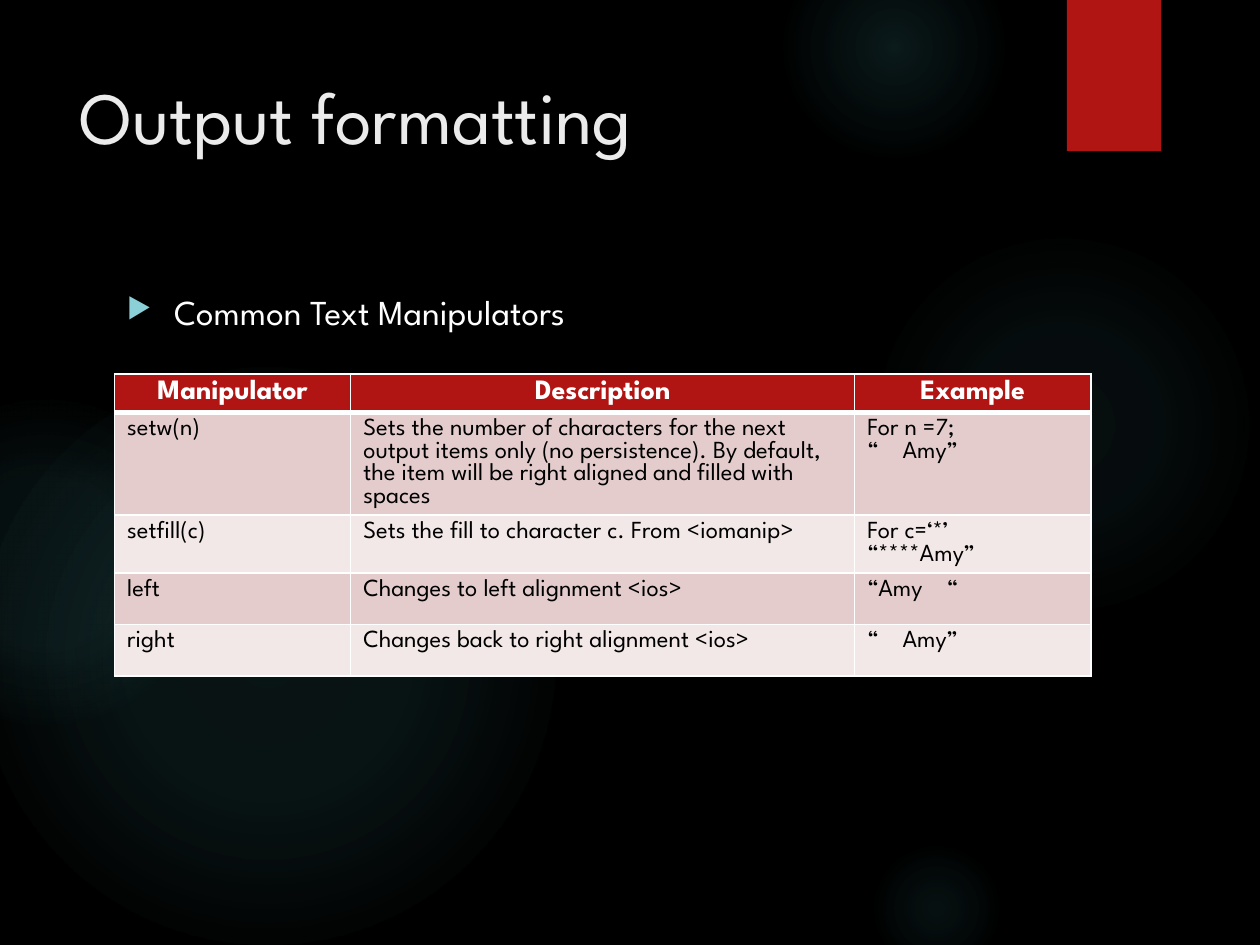
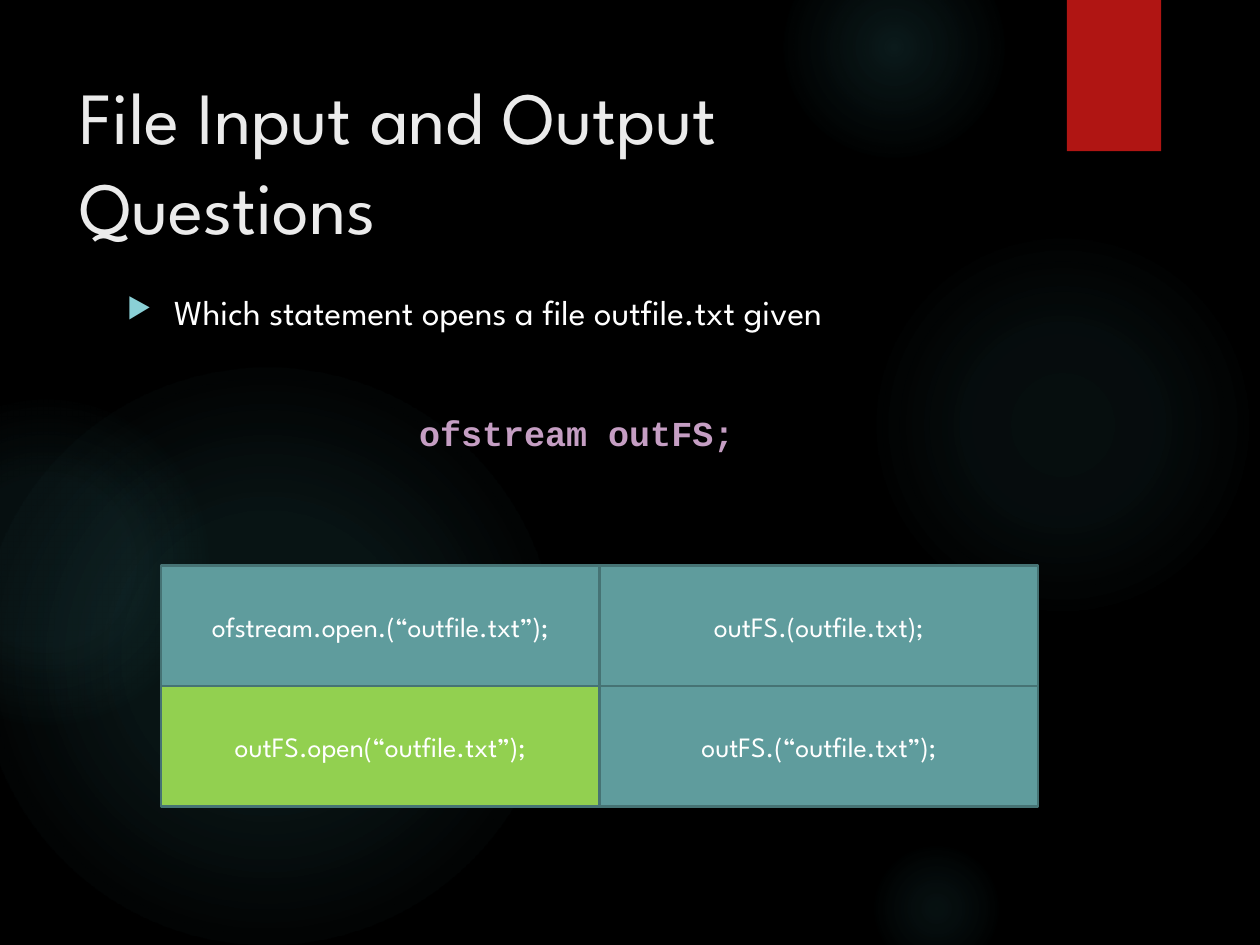
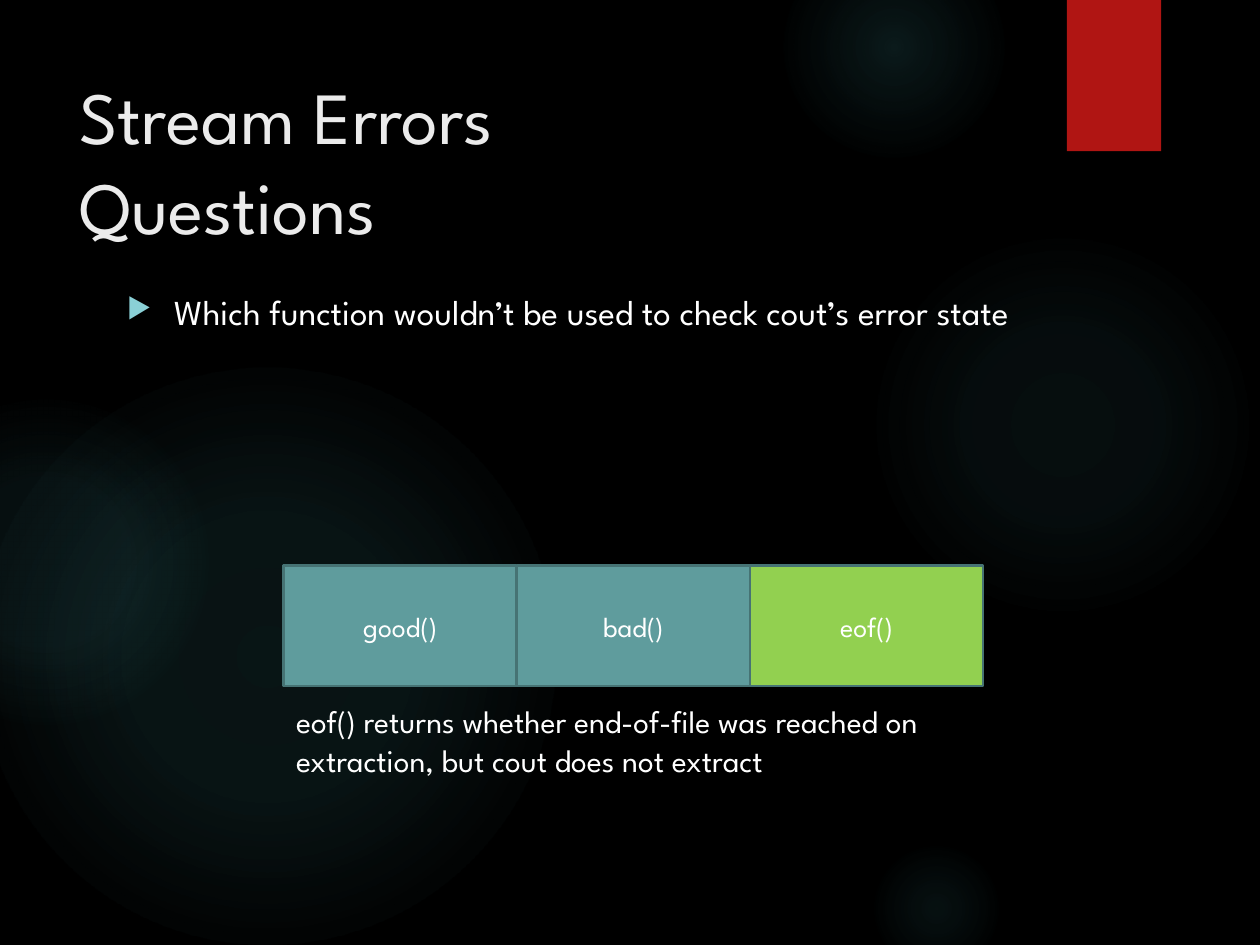
from dataclasses import dataclass

from lxml import etree
from pptx import Presentation
from pptx.dml.color import RGBColor
from pptx.enum.shapes import MSO_SHAPE
from pptx.enum.text import MSO_ANCHOR, PP_ALIGN
from pptx.oxml import parse_xml
from pptx.oxml.ns import qn
from pptx.util import Cm, Pt

RECTANGLE, OVAL = MSO_SHAPE.RECTANGLE, MSO_SHAPE.OVAL
LEFT, CENTER = PP_ALIGN.LEFT, PP_ALIGN.CENTER
TOP, MIDDLE = MSO_ANCHOR.TOP, MSO_ANCHOR.MIDDLE
DRAWING = 'xmlns:a="http://schemas.openxmlformats.org/drawingml/2006/main"'


@dataclass(frozen=True)
class Theme:
    font: str = "League Spartan"
    code_font: str = "Courier New"
    background: str = "000000"
    glow: str = "50B9C1"
    red: str = "B01513"
    title: str = "EBEBEB"
    white: str = "FFFFFF"
    black: str = "000000"
    bullet: str = "8AD0D6"
    code: str = "C59EC3"
    answer: str = "5F9C9D"
    correct: str = "92D050"
    answer_line: str = "467374"
    row_bands: tuple = ("E4CCCC", "F2E8E7")
    title_size: int = 42
    body_size: int = 20
    note_size: int = 18
    label_size: int = 16
    cell_size: int = 14
    leading: float = 1.226
    table_leading: float = 0.92
    paragraph_gap: int = 10


@dataclass(frozen=True)
class Box:
    """An area of the slide, in centimetres."""
    left: float
    top: float
    width: float
    height: float

    def lengths(self):
        return Cm(self.left), Cm(self.top), Cm(self.width), Cm(self.height)


THEME = Theme()
PAGE = Box(0, 0, 25.4, 19.05)
TITLE_BOX = Box(1.35, 1.27, 19.6, 3.89)
BODY_BOX = Box(2.31, 5.72, 18.64, 11.66)
TABLE_BOX = Box(2.31, 7.54, 19.69, 7.06)

# Left, top, diameter, then (position, opacity) stops in percent
GLOWS = [
    (17.5, 4.65, 7.82, ((0, 7), (36, 6), (69, 0))),
    (15.8, -1.27, 4.45, ((0, 14), (36, 7), (73, 0))),
    (17.5, 16.94, 2.74, ((0, 9), (36, 5), (66, 0))),
    (-0.43, 7.42, 11.63, ((0, 11), (36, 10), (75, 0))),
    (-2.34, 8.05, 6.55, ((0, 8), (36, 8), (72, 0))),
]

MANIPULATORS = [
    ("Manipulator", "Description", "Example"),
    ("setw(n)",
     "Sets the number of characters for the next output items only "
     "(no persistence). By default, the item will be right aligned "
     "and filled with spaces",
     "For n =7;\n“    Amy”"),
    ("setfill(c)", "Sets the fill to character c. From <iomanip>",
     "For c=‘*’\n“****Amy”"),
    ("left", "Changes to left alignment <ios>", "“Amy    “"),
    ("right", "Changes back to right alignment <ios>", "“    Amy”"),
]


def rgb(color):
    return RGBColor.from_string(color)


def write_text(frame, text, *, size, color=THEME.white, font=THEME.font,
               bold=False, align=LEFT, anchor=TOP, leading=THEME.leading,
               append=False, space_before=0):
    """Write one paragraph per line of text and return the last one."""
    frame.word_wrap = True
    frame.vertical_anchor = anchor
    for index, line in enumerate(text.split("\n")):
        new = append or index > 0
        paragraph = frame.add_paragraph() if new else frame.paragraphs[0]
        paragraph.text = line
        paragraph.alignment = align
        paragraph.line_spacing = Pt(size * leading)
        paragraph.space_before = Pt(space_before)
        for run in paragraph.runs:
            run.font.name = font
            run.font.size = Pt(size)
            run.font.bold = bold
            run.font.color.rgb = rgb(color)
    return paragraph


def add_bullet(paragraph):
    properties = paragraph._p.get_or_add_pPr()
    properties.set("marL", str(Cm(0.95)))
    properties.set("indent", str(-Cm(0.95)))
    for xml in (f'<a:buClr {DRAWING}><a:srgbClr val="{THEME.bullet}"/></a:buClr>',
                f'<a:buSzPct {DRAWING} val="80000"/>',
                f'<a:buChar {DRAWING} char="▶"/>'):
        properties.append(parse_xml(xml))


def add_plain_shape(slide, kind, box, fill=None, line=None):
    shape = slide.shapes.add_shape(kind, *box.lengths())
    shape.shadow.inherit = False
    if fill:
        shape.fill.solid()
        shape.fill.fore_color.rgb = rgb(fill)
    if line:
        shape.line.color.rgb = rgb(line)
        shape.line.width = Pt(1.5)
    else:
        shape.line.fill.background()
    return shape


def add_text_box(slide, box, text, **text_format):
    frame = slide.shapes.add_textbox(*box.lengths()).text_frame
    return frame, write_text(frame, text, **text_format)


# Shared backdrop
def add_glow(slide, box, stops):
    shape = add_plain_shape(slide, OVAL, box)
    stop_xml = "".join(
        f'<a:gs pos="{position * 1000}"><a:srgbClr val="{THEME.glow}">'
        f'<a:alpha val="{opacity * 1000}"/></a:srgbClr></a:gs>'
        for position, opacity in stops)
    gradient = parse_xml(
        f'<a:gradFill {DRAWING} rotWithShape="1"><a:gsLst>{stop_xml}</a:gsLst>'
        '<a:path path="circle"><a:fillToRect l="50000" t="50000" r="50000" '
        'b="50000"/></a:path></a:gradFill>')
    shape._element.spPr.find(qn("a:prstGeom")).addnext(gradient)


def add_ribbon(slide, box):
    shape = add_plain_shape(slide, RECTANGLE, box, THEME.red)
    effects = shape._element.spPr.find(qn("a:effectLst"))
    effects.append(parse_xml(
        f'<a:outerShdw {DRAWING} blurRad="{Pt(3)}" dist="{Pt(2)}" dir="5400000" '
        f'rotWithShape="0"><a:srgbClr val="{THEME.black}">'
        '<a:alpha val="45000"/></a:srgbClr></a:outerShdw>'))


def add_backdrop(slide, page):
    slide.background.fill.solid()
    slide.background.fill.fore_color.rgb = rgb(THEME.background)
    for left, top, diameter, stops in GLOWS:
        add_glow(slide, Box(page.left + left, page.top + top, diameter, diameter),
                 stops)
    add_ribbon(slide, Box(page.left + 21.51, page.top, 1.9, 3.05))


def add_content_slide(presentation, title, bullet):
    """Start a slide with its title and bullet; return it and the body frame."""
    slide = presentation.slides.add_slide(presentation.slide_layouts[6])
    add_backdrop(slide, PAGE)
    add_text_box(slide, TITLE_BOX, title, size=THEME.title_size, color=THEME.title)
    body, paragraph = add_text_box(slide, BODY_BOX, bullet, size=THEME.body_size,
                                   space_before=THEME.paragraph_gap)
    add_bullet(paragraph)
    return slide, body


# Table of manipulators
def set_borders(cell, **widths):
    properties = cell._tc.get_or_add_tcPr()
    for side in "LRTB":
        line = etree.SubElement(properties, qn(f"a:ln{side}"),
                                w=str(Pt(widths.get(side, 1))))
        fill = etree.SubElement(line, qn("a:solidFill"))
        etree.SubElement(fill, qn("a:srgbClr"), val=THEME.white)


def add_manipulator_table(slide, box, rows):
    frame = slide.shapes.add_table(len(rows), len(rows[0]), *box.lengths())
    table = frame.table
    for column, share in zip(table.columns, (0.242, 0.516, 0.242)):
        column.width = Cm(round(box.width * share, 2))
    for row_index, texts in enumerate(rows):
        header = row_index == 0
        table.rows[row_index].height = Cm(0.69 if header else 1.04)
        for column_index, text in enumerate(texts):
            cell = table.cell(row_index, column_index)
            set_borders(cell, T=3 if row_index == 1 else 1, B=3 if header else 1)
            cell.fill.solid()
            band = THEME.row_bands[(row_index - 1) % 2]
            cell.fill.fore_color.rgb = rgb(THEME.red if header else band)
            write_text(cell.text_frame, text, bold=header,
                       size=THEME.label_size if header else THEME.cell_size,
                       color=THEME.white if header else THEME.black,
                       align=CENTER if header else LEFT,
                       leading=THEME.table_leading)
    frame.height = Cm(box.height)


# Grid of answers
def add_answers(slide, box, rows, correct):
    width, height = box.width / len(rows[0]), box.height / len(rows)
    for row_index, answers in enumerate(rows):
        for column_index, answer in enumerate(answers):
            answer_box = Box(box.left + column_index * width,
                             box.top + row_index * height, width, height)
            fill = THEME.correct if answer == correct else THEME.answer
            shape = add_plain_shape(slide, RECTANGLE, answer_box, fill,
                                    THEME.answer_line)
            write_text(shape.text_frame, answer, size=THEME.label_size,
                       align=CENTER, anchor=MIDDLE)


def build_formatting_slide(presentation):
    slide, _ = add_content_slide(presentation, "Output formatting",
                                 "Common Text Manipulators")
    add_manipulator_table(slide, TABLE_BOX, MANIPULATORS)


def build_file_question(presentation):
    slide, body = add_content_slide(
        presentation, "File Input and Output\vQuestions",
        "Which statement opens a file outfile.txt given")
    write_text(body, "ofstream outFS;", size=THEME.body_size, color=THEME.code,
               font=THEME.code_font, bold=True, align=CENTER, append=True,
               space_before=44.5)
    add_answers(slide, Box(3.25, 11.4, 17.68, 4.86),
                [("ofstream.open.(“outfile.txt”);", "outFS.(outfile.txt);"),
                 ("outFS.open(“outfile.txt”);", "outFS.(“outfile.txt”);")],
                correct="outFS.open(“outfile.txt”);")


def build_error_question(presentation):
    slide, _ = add_content_slide(
        presentation, "Stream Errors\vQuestions",
        "Which function wouldn’t be used to check cout’s error state")
    add_answers(slide, Box(5.72, 11.4, 14.1, 2.43), [("good()", "bad()", "eof()")],
                correct="eof()")
    add_text_box(slide, Box(5.72, 14.02, 14.2, 2.57),
                 "eof() returns whether end-of-file was reached on extraction, "
                 "but cout does not extract", size=THEME.note_size)


def main():
    presentation = Presentation()
    presentation.slide_width = Cm(PAGE.width)
    presentation.slide_height = Cm(PAGE.height)
    build_formatting_slide(presentation)
    build_file_question(presentation)
    build_error_question(presentation)
    presentation.save("out.pptx")


if __name__ == "__main__":
    main()
